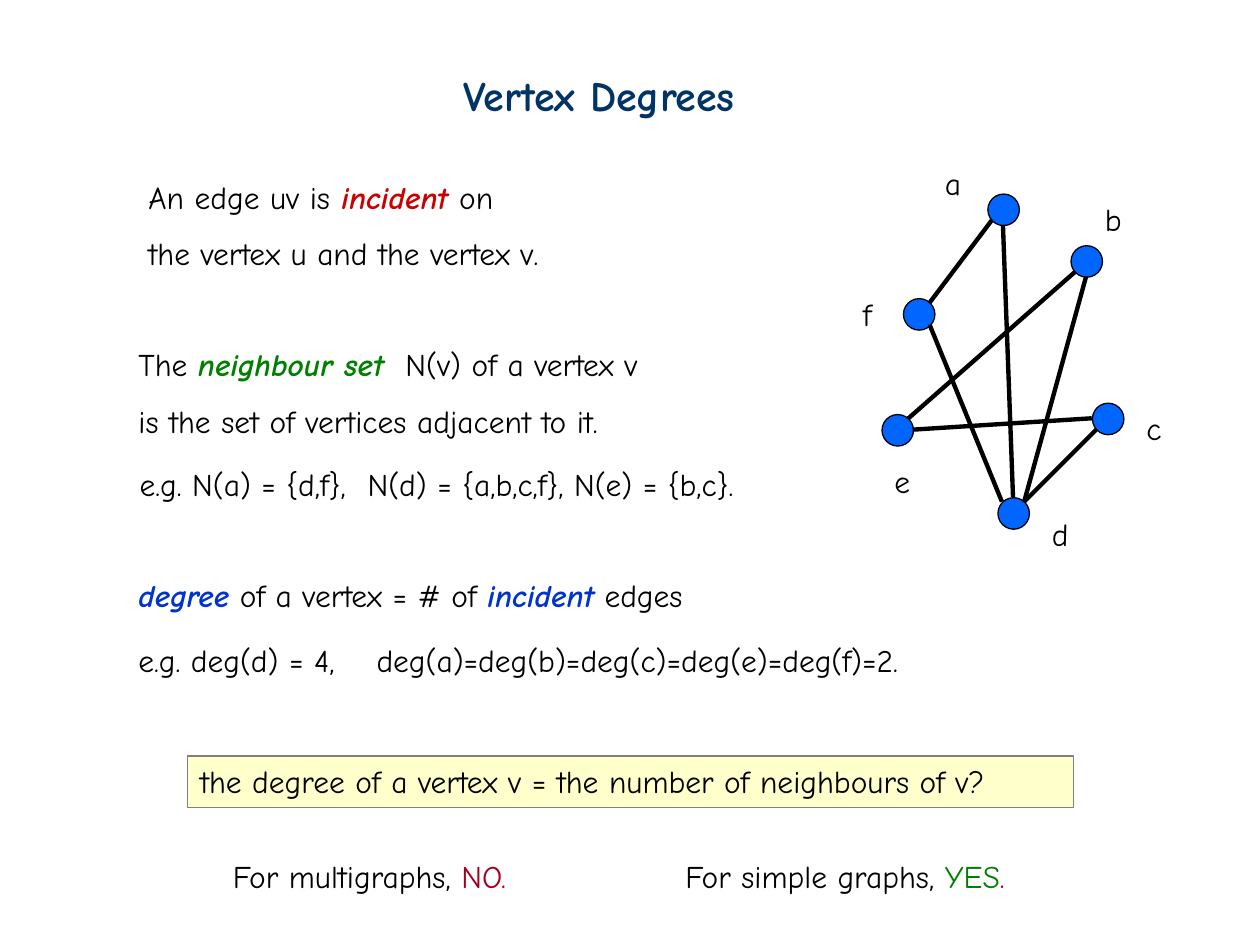
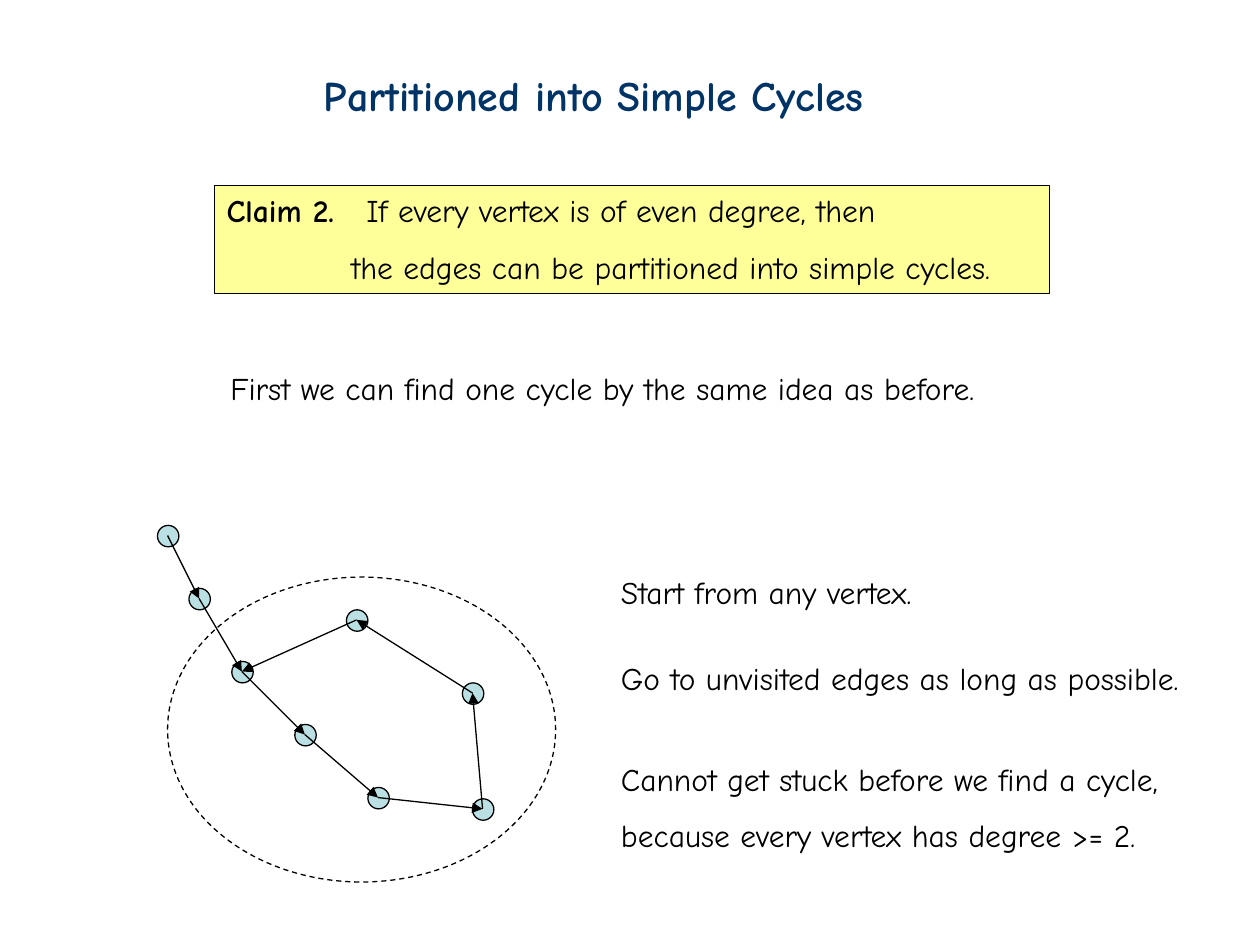
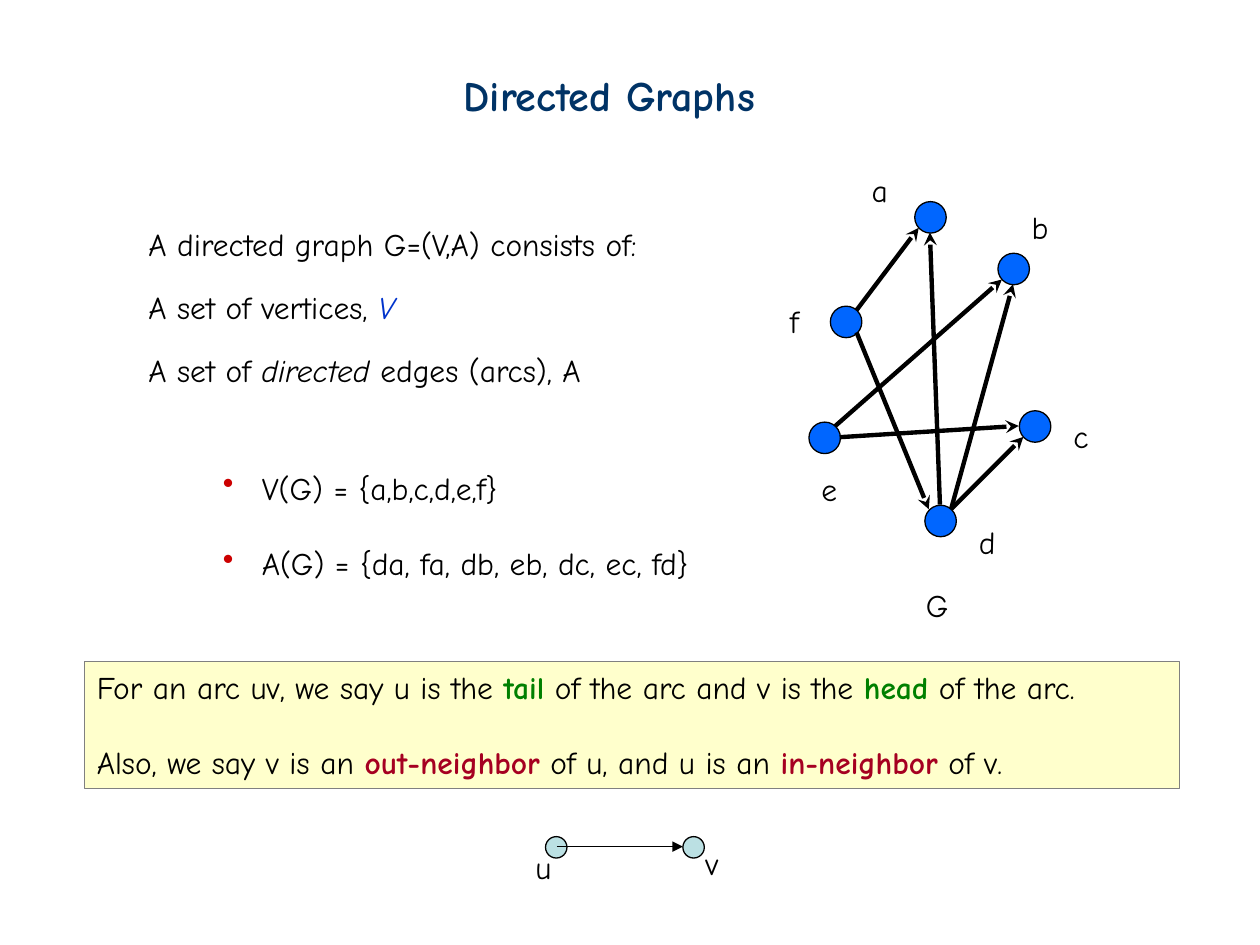
from dataclasses import dataclass
from math import hypot

from pptx import Presentation
from pptx.dml.color import RGBColor
from pptx.enum.dml import MSO_LINE
from pptx.enum.shapes import MSO_CONNECTOR, MSO_SHAPE
from pptx.enum.text import MSO_ANCHOR, MSO_AUTO_SIZE, PP_ALIGN
from pptx.oxml.ns import qn
from pptx.util import Emu, Pt
from lxml import etree

RECT, OVAL = MSO_SHAPE.RECTANGLE, MSO_SHAPE.OVAL
STRAIGHT = MSO_CONNECTOR.STRAIGHT
DASH = MSO_LINE.DASH
LEFT, TOP = PP_ALIGN.LEFT, MSO_ANCHOR.TOP
NO_FIT = MSO_AUTO_SIZE.NONE
PX = 9144


@dataclass(frozen=True)
class Theme:
    """Colours and type sizes of the deck."""
    font: str = "Comic Neue"
    head: int = 24
    body: int = 18
    blank: float = 21.7
    step: float = 3.6
    thin: float = 0.75
    thick: float = 2.5
    navy: str = "003366"
    ink: str = "000000"
    red: str = "CC0000"
    wine: str = "A50021"
    green: str = "008000"
    blue: str = "0033CC"
    grey: str = "808080"
    cream: str = "FFFFCC"
    lemon: str = "FFFF99"
    node: str = "0066FF"
    pale: str = "BBE0E3"


T = Theme()


@dataclass
class Run:
    """Text with one look."""
    text: str
    color: str = T.ink
    bold: bool = False
    slant: bool = False
    size: int = T.body


@dataclass
class Para:
    """Runs with spacing, indent, tab stop and bullet."""
    runs: list
    lead: float = 1.0
    gap: float = 0
    left: int = 0
    tab: int = 0
    dot: str = ""


def px(*vals):
    """Turn px into EMU."""
    return [Emu(round(v * PX)) for v in vals]


def rgb(code):
    """Turn a hex code into a colour."""
    return RGBColor.from_string(code)


def plain(text, **form):
    """Make a paragraph of one black run."""
    return Para([Run(text)], **form)


def add_dot(props, color):
    """Put a coloured bullet on a paragraph."""
    tint = etree.SubElement(props, qn("a:buClr"))
    etree.SubElement(tint, qn("a:srgbClr"), val=color)
    etree.SubElement(props, qn("a:buChar"), char="•")


def write(frame, paras):
    """Fill a text frame run by run."""
    frame.word_wrap = True
    frame.auto_size = NO_FIT
    frame.vertical_anchor = TOP
    for i, para in enumerate(paras):
        line = frame.add_paragraph() if i else frame.paragraphs[0]
        props = line._p.get_or_add_pPr()
        if para.left:
            props.set("marL", str(para.left * PX))
            props.set("indent", str(-para.left * PX if para.dot else 0))
        if para.dot:
            add_dot(props, para.dot)
        if para.tab:
            stops = etree.SubElement(props, qn("a:tabLst"))
            etree.SubElement(stops, qn("a:tab"), pos=str(para.tab * PX), algn="l")
        line.alignment = LEFT
        line.line_spacing = para.lead
        line.space_before = Pt(para.gap)
        for part in para.runs:
            run = line.add_run()
            run.text = part.text
            font = run.font
            font.name, font.size = T.font, Pt(part.size)
            font.bold, font.italic = part.bold, part.slant
            font.color.rgb = rgb(part.color)


def text(slide, box, *paras):
    """Add a text box."""
    write(slide.shapes.add_textbox(*px(*box)).text_frame, paras)


def shape(slide, kind, box, fill=None, edge=T.ink):
    """Add a preset shape with a thin outline."""
    item = slide.shapes.add_shape(kind, *px(*box))
    item.shadow.inherit = False
    if fill:
        item.fill.solid()
        item.fill.fore_color.rgb = rgb(fill)
    else:
        item.fill.background()
    item.line.color.rgb = rgb(edge)
    item.line.width = Pt(T.thin)
    return item


def panel(slide, box, fill, edge, *paras):
    """Add a filled box of text."""
    write(shape(slide, RECT, box, fill, edge).text_frame, paras)


def dot(slide, x, y, size, fill):
    """Add a vertex around a centre."""
    shape(slide, OVAL, (x - size // 2, y - size // 2, size, size), fill)


def link(slide, start, end, width, tip=None):
    """Add a straight line with an optional arrowhead."""
    item = slide.shapes.add_connector(STRAIGHT, *px(*start, *end))
    item.line.color.rgb = rgb(T.ink)
    item.line.width = Pt(width)
    if tip:
        etree.SubElement(item.get_or_add_ln(), qn("a:tailEnd"), type=tip)
    etree.SubElement(item._element.spPr, qn("a:effectLst"))


def page(deck, title, left, width):
    """Add a slide with its title."""
    slide = deck.slides.add_slide(deck.slide_layouts[5])
    head = slide.shapes.title
    head.left, head.top, head.width, head.height = px(left, 50, width, 50)
    write(head.text_frame, [Para([Run(title, T.navy, True, size=T.head)])])
    return slide


NODES = {"a": (121, 41), "b": (187, 82), "c": (204, 207),
         "d": (129, 282), "e": (37, 216), "f": (54, 124)}
LABELS = {"a": (65, 0), "b": (192, 29), "c": (225, 195),
          "d": (150, 279), "e": (25, 237), "f": (0, 104)}
SIDES = {"n": (0, -1), "s": (0, 1), "w": (-1, 0), "e": (1, 0),
         "ne": (1, -1), "nw": (-1, -1), "se": (1, 1), "sw": (-1, 1)}
EDGES = [("e", "ne", "b", "sw"), ("e", "e", "c", "w"), ("f", "ne", "a", "sw"),
         ("d", "ne", "b", "s"), ("d", "ne", "c", "sw"), ("d", "n", "a", "s"),
         ("f", "se", "d", "nw")]


def graph(slide, left, top, tip=None):
    """Draw the graph on six vertices."""
    size = 25

    def port(name, side):
        """Find a point on the rim of a vertex."""
        x, y = NODES[name]
        dx, dy = SIDES[side]
        reach = size / 2 / hypot(dx, dy)
        return left + x + dx * reach, top + y + dy * reach

    for x, y in NODES.values():
        dot(slide, left + x, top + y, size, T.node)
    for tail, out, head, into in EDGES:
        link(slide, port(tail, out), port(head, into), T.thick, tip)
    for name, (x, y) in LABELS.items():
        text(slide, (left + x, top + y, 34, 40), plain(name))


def walk(slide, left, top):
    """Draw a walk that closes into a cycle."""
    steps = [(8, 8), (33, 58), (67, 116), (117, 166),
             (175, 216), (258, 225), (250, 133), (158, 75)]
    stops = [(left + x, top + y) for x, y in steps]
    for x, y in stops:
        dot(slide, x, y, 17, T.pale)
    for start, end in zip(stops, stops[1:] + stops[2:3]):
        link(slide, start, end, T.thin, "triangle")
    ring = shape(slide, OVAL, (left + 8, top + 41, 308, 242))
    ring.line.dash_style = DASH


def arc(slide, left, top):
    """Draw one arc from u to v."""
    y = top + 8
    for x in (left + 26, left + 135):
        dot(slide, x, y, 17, T.pale)
    link(slide, (left + 27, y), (left + 127, y), T.thin, "triangle")
    text(slide, (left, top + 4, 33, 40), plain("u"))
    text(slide, (left + 135, top + 1, 33, 40), plain("v"))


def degrees(deck):
    """Build the slide on vertex degrees."""
    slide = page(deck, "Vertex Degrees", 358, 275)
    graph(slide, 675, 125)
    text(slide, (108, 136, 373, 85),
         Para([Run("An edge uv is"), Run(" incident ", T.red, True, True), Run("on")]),
         plain("the vertex u and the vertex v.", lead=1.5))
    text(slide, (100, 269, 460, 85),
         Para([Run("The "), Run("neighbour set", T.green, True, True),
               Run("\tN(v) of a vertex v")], tab=212),
         plain("is the set of vertices adjacent to it.", lead=1.5))
    text(slide, (101, 364, 547, 40),
         plain("e.g. N(a) = {d,f},\tN(d) = {a,b,c,f}, N(e) = {b,c}.", tab=181))
    text(slide, (100, 452, 513, 51),
         Para([Run("degree", T.blue, True, True), Run(" of a vertex = # of "),
               Run("incident", T.blue, True, True), Run(" edges")]))
    text(slide, (100, 504, 674, 40),
         plain("e.g. deg(d) = 4,\tdeg(a)=deg(b)=deg(c)=deg(e)=deg(f)=2.", tab=189))
    panel(slide, (149, 600, 703, 41), T.cream, T.grey,
          plain("the degree of a vertex v = the number of neighbours of v?"))
    text(slide, (175, 675, 264, 40),
         Para([Run("For multigraphs, "), Run("NO.", T.wine)]))
    text(slide, (534, 675, 295, 40),
         Para([Run("For simple graphs, "), Run("YES", T.green), Run(".", T.wine)]))


def cycles(deck):
    """Build the slide on simple cycles."""
    slide = page(deck, "Partitioned into Simple Cycles", 247, 503)
    panel(slide, (170, 147, 663, 86), T.lemon, T.ink,
          Para([Run("Claim 2.", bold=True),
                Run("\tIf every vertex is of even degree, then")], tab=111),
          plain("the edges can be partitioned into simple cycles.", lead=1.5, left=99))
    text(slide, (173, 288, 662, 40),
         plain("First we can find one cycle by the same idea as before."))
    walk(slide, 125, 417)
    text(slide, (483, 450, 289, 40), plain("Start from any vertex."))
    text(slide, (483, 518, 495, 40),
         plain("Go to unvisited edges as long as possible."))
    text(slide, (483, 598, 491, 85),
         plain("Cannot get stuck before we find a cycle,"),
         plain("because every vertex has degree >= 2.", lead=1.5))


def directed(deck):
    """Build the slide on directed graphs."""
    slide = page(deck, "Directed Graphs", 358, 284)
    text(slide, (108, 174, 460, 159),
         plain("A directed graph G=(V,A) consists of:"),
         Para([Run("A set of vertices, "), Run("V", T.blue, slant=True)],
              lead=1.5, gap=T.step),
         Para([Run("A set of"), Run(" directed", slant=True),
               Run(" edges (arcs), A")], lead=1.5, gap=T.step))
    graph(slide, 617, 131, "stealth")
    text(slide, (725, 460, 37, 40), plain("G"))
    text(slide, (167, 367, 416, 100),
         plain("V(G) = {a,b,c,d,e,f}", left=31, dot=T.red),
         plain("A(G) = {da, fa, db, eb, dc, ec, fd}", left=31, dot=T.red, gap=T.blank))
    panel(slide, (67, 525, 869, 101), T.cream, T.grey,
          Para([Run("For an arc uv, we say u is the "), Run("tail", T.green, True),
                Run(" of the arc and v is the "), Run("head", T.green, True),
                Run(" of the arc.")]),
          Para([Run("Also, we say v is an "), Run("out-neighbor", T.wine, True),
                Run(" of u, and u is an "), Run("in-neighbor", T.wine, True),
                Run(" of v.")], gap=T.blank))
    arc(slide, 415, 664)


def main():
    """Build and save the deck."""
    deck = Presentation()
    deck.slide_width, deck.slide_height = px(1000, 750)
    degrees(deck)
    cycles(deck)
    directed(deck)
    deck.save("out.pptx")


if __name__ == "__main__":
    main()
